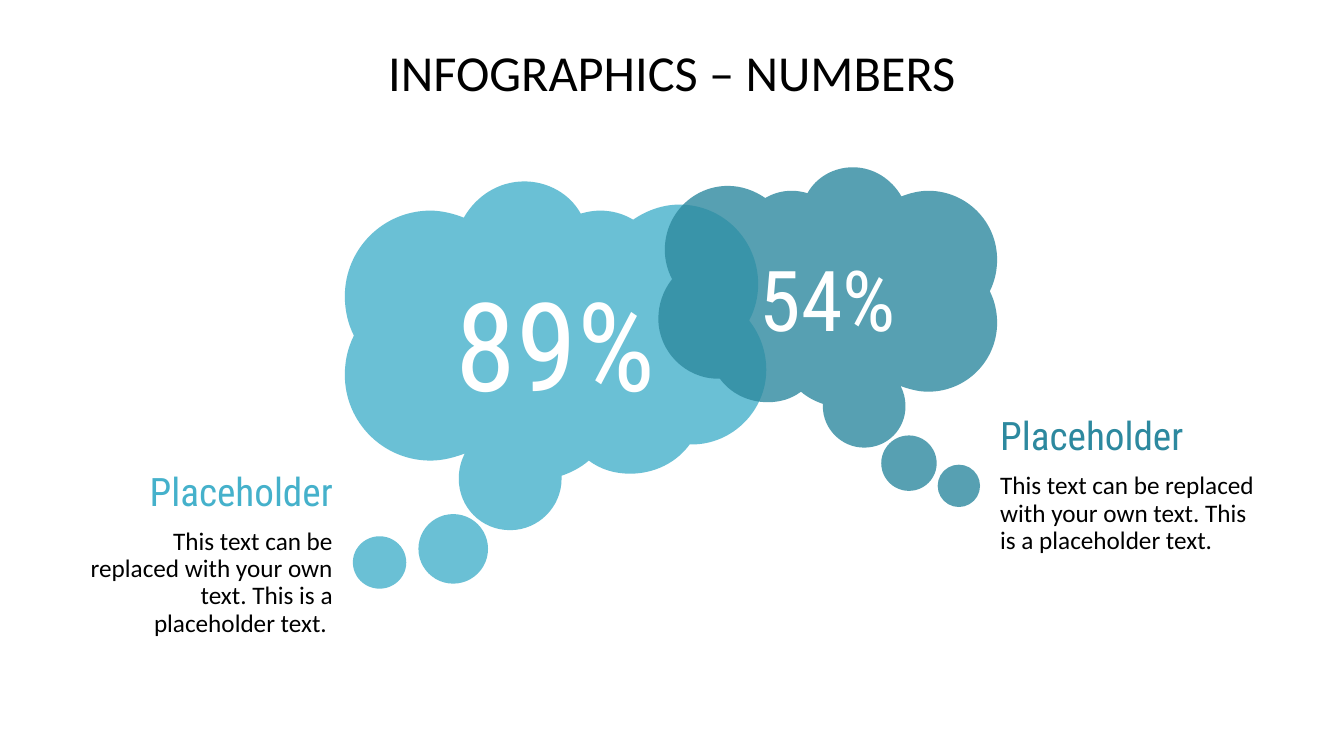
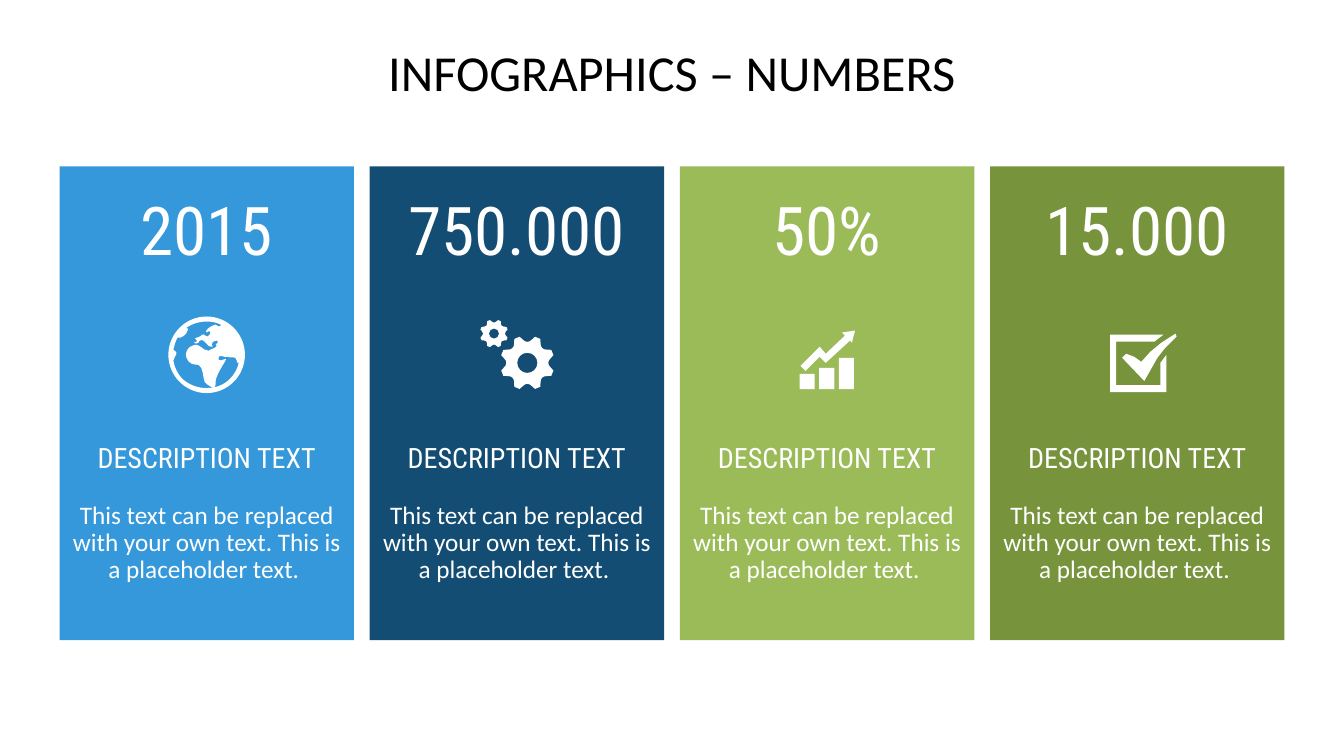
import dataclasses
import math

import lxml.etree
import pptx
import pptx.dml.color
import pptx.enum.shapes
import pptx.enum.text
import pptx.oxml.ns
import pptx.shapes.autoshape
import pptx.slide
import pptx.text.text
import pptx.util

Inches = pptx.util.Inches
RGBColor = pptx.dml.color.RGBColor
Shape = pptx.shapes.autoshape.Shape
MSO_SHAPE = pptx.enum.shapes.MSO_SHAPE
ALIGN = pptx.enum.text.PP_ALIGN
ANCHOR = pptx.enum.text.MSO_ANCHOR
qn = pptx.oxml.ns.qn
Point = tuple[float, float]
Contour = list[Point]

BLACK = RGBColor(0x00, 0x00, 0x00)
WHITE = RGBColor(0xFF, 0xFF, 0xFF)
AQUA = RGBColor(0x45, 0xB1, 0xCB)
TEAL = RGBColor(0x2D, 0x89, 0x9F)
BLUE = RGBColor(0x34, 0x98, 0xDB)
NAVY = RGBColor(0x14, 0x4D, 0x73)
LIME = RGBColor(0x9B, 0xBB, 0x59)
OLIVE = RGBColor(0x77, 0x93, 0x3C)

BODY_FONT = "Calibri"
ACCENT_FONT = "Roboto Condensed"
TITLE = "INFOGRAPHICS – NUMBERS"
BODY_TEXT = "This text can be replaced with your own text. This is a placeholder text. "
MARGIN, CONTENT_W = 0.59, 12.15

# Curves list a start point, then two control points and an end point per piece.
CLOUD_LEFT, CLOUD_TOP = 3.42, 1.8
CLOUD_CURVE = [
    (5.06, 5.26), (5.34, 5.26), (5.57, 5.03), (5.57, 4.75), (5.57, 4.74), (5.57, 4.73),
    (5.57, 4.72), (5.66, 4.69), (5.76, 4.64), (5.84, 4.57), (5.96, 4.66), (6.1, 4.7),
    (6.25, 4.7), (6.49, 4.7), (6.71, 4.59), (6.84, 4.41), (6.85, 4.41), (6.86, 4.41),
    (6.86, 4.41), (7.27, 4.41), (7.6, 4.07), (7.6, 3.67), (7.6, 3.49), (7.54, 3.32),
    (7.43, 3.18), (7.49, 3.07), (7.52, 2.94), (7.52, 2.82), (7.52, 2.38), (7.17, 2.03),
    (6.74, 2.03), (6.57, 2.03), (6.41, 2.09), (6.28, 2.18), (6.18, 2.12), (6.07, 2.09),
    (5.95, 2.09), (5.89, 2.09), (5.83, 2.1), (5.76, 2.12), (5.65, 1.92), (5.43, 1.8),
    (5.2, 1.8), (4.94, 1.8), (4.72, 1.95), (4.6, 2.16), (4.5, 2.12), (4.38, 2.09),
    (4.27, 2.09), (3.8, 2.09), (3.42, 2.47), (3.42, 2.94), (3.42, 3.08), (3.45, 3.21),
    (3.51, 3.33), (3.45, 3.45), (3.42, 3.58), (3.42, 3.72), (3.42, 4.19), (3.8, 4.57),
    (4.27, 4.57), (4.39, 4.57), (4.5, 4.54), (4.61, 4.5), (4.57, 4.58), (4.55, 4.66),
    (4.55, 4.75), (4.55, 5.03), (4.77, 5.26), (5.06, 5.26),
]
SEA_CURVE = [
    (2.28, 3.76), (2.33, 3.71), (2.36, 3.65), (2.37, 3.59), (2.37, 3.6), (2.35, 3.61),
    (2.35, 3.58), (2.34, 3.52), (2.29, 3.56), (2.26, 3.54), (2.23, 3.56), (2.16, 3.49),
    (2.17, 3.57), (2.19, 3.6), (2.27, 3.52), (2.23, 3.59), (2.2, 3.64), (2.13, 3.75),
    (2.14, 3.8), (2.14, 3.89), (2.06, 3.82), (2.03, 3.79), (2.01, 3.74), (2.02, 3.65),
    (1.97, 3.62), (1.92, 3.62), (1.87, 3.61), (1.85, 3.55), (1.83, 3.51), (1.86, 3.44),
    (1.91, 3.43), (1.98, 3.39), (2, 3.48), (2.07, 3.48), (2.09, 3.46), (2.14, 3.46),
    (2.15, 3.43), (2.11, 3.42), (2.2, 3.39), (2.15, 3.38), (2.11, 3.38), (2.09, 3.41),
    (2.11, 3.44), (2.04, 3.45), (2.04, 3.35), (1.98, 3.38), (1.98, 3.43), (1.88, 3.4),
    (1.95, 3.39), (1.97, 3.38), (1.91, 3.35), (1.95, 3.35), (1.96, 3.35), (2.01, 3.33),
    (2, 3.32), (2.03, 3.3), (2.05, 3.37), (2.08, 3.32), (2.1, 3.28), (2.07, 3.28),
    (2.05, 3.3), (2.03, 3.28), (2.07, 3.25), (2.11, 3.23), (2.12, 3.23), (2.13, 3.22),
    (2.14, 3.22), (2.16, 3.24), (2.19, 3.25), (2.19, 3.22), (2.15, 3.2), (2.1, 3.19),
    (2.05, 3.19), (1.98, 3.19), (1.91, 3.21), (1.85, 3.25), (1.87, 3.26), (1.87, 3.27),
    (1.86, 3.28), (1.85, 3.32), (1.8, 3.36), (1.76, 3.35), (1.74, 3.39), (1.73, 3.43),
    (1.72, 3.47), (1.75, 3.49), (1.76, 3.51), (1.75, 3.51), (1.74, 3.53), (1.73, 3.55),
    (1.72, 3.58), (1.73, 3.64), (1.76, 3.71), (1.81, 3.76), (1.88, 3.82), (1.96, 3.85),
    (2.05, 3.85), (2.14, 3.85), (2.22, 3.82), (2.28, 3.76),
]
TREND_ARROW = [
    (8.13, 3.44), (8.19, 3.51), (8.38, 3.33), (8.35, 3.3), (8.48, 3.28), (8.45, 3.4),
    (8.43, 3.38), (8.19, 3.6), (8.13, 3.54), (7.99, 3.68), (7.94, 3.63),
]
CHECK_BOX = [
    (11.01, 3.89), (11.01, 3.32), (11.54, 3.32), (11.45, 3.39), (11.07, 3.39), (11.07, 3.82),
    (11.51, 3.82), (11.51, 3.6), (11.57, 3.52), (11.57, 3.89),
]
CHECK_MARK = [
    (11.13, 3.55), (11.17, 3.51), (11.25, 3.54), (11.32, 3.59), (11.41, 3.49), (11.52, 3.4),
    (11.66, 3.31), (11.67, 3.34), (11.55, 3.46), (11.48, 3.55), (11.35, 3.78),
]


@dataclasses.dataclass(frozen=True)
class Para:
    text: str
    size: int
    font: str = ACCENT_FONT
    color: RGBColor = WHITE


@dataclasses.dataclass(frozen=True)
class Box:
    left: float
    top: float
    width: float
    height: float

    def emu(self) -> list[pptx.util.Length]:
        return [Inches(v) for v in (self.left, self.top, self.width, self.height)]


@dataclasses.dataclass(frozen=True)
class Cloud:
    label: Para
    color: RGBColor
    outline: Contour
    dots: tuple[Box, Box]
    caption_box: Box
    caption: str
    align: ALIGN


@dataclasses.dataclass(frozen=True)
class Card:
    number: str
    color: RGBColor


CARDS = [Card("2015", BLUE), Card("750.000", NAVY), Card("50%", LIME), Card("15.000", OLIVE)]


def polar(cx: float, cy: float, radius: float, degrees: float) -> Point:
    angle = math.radians(degrees)
    return cx + radius * math.cos(angle), cy + radius * math.sin(angle)


def circle_curve(cx: float, cy: float, radius: float) -> Contour:
    k = 0.55
    unit = [(1, 0), (1, k), (k, 1), (0, 1), (-k, 1), (-1, k), (-1, 0),
            (-1, -k), (-k, -1), (0, -1), (k, -1), (1, -k), (1, 0)]
    return [(cx + radius * x, cy + radius * y) for x, y in unit]


def gear_curves(cx: float, cy: float, radius: float, hole: float) -> list[Contour]:
    """Eight-toothed wheel and its round hole."""
    # Angle and share of the radius: tooth top, falling side, valley, rising side.
    tooth = ((-6, 1), (6, 1), (6, 1), (6, 1), (12, 0.86), (12, 0.86), (12, 0.86),
             (17, 0.75), (28, 0.75), (33, 0.86), (33, 0.86), (39, 1), (39, 1))
    rim = [polar(cx, cy, radius, 22.5 + tooth[0][0])]
    for i in range(8):
        rim += [polar(cx, cy, radius * share, 22.5 + 45 * i + a) for a, share in tooth[1:]]
    return [rim, circle_curve(cx, cy, hole)]


def paint(sp: Shape, color: RGBColor, opacity: int = 100) -> None:
    sp.shadow.inherit = False
    sp.line.fill.background()
    sp.fill.solid()
    sp.fill.fore_color.rgb = color
    if opacity < 100:
        srgb = sp.fill._xPr.find(".//" + qn("a:srgbClr"))
        lxml.etree.SubElement(srgb, qn("a:alpha"), val=str(opacity * 1000))


def bend(sp: Shape) -> None:
    """Join every three line segments into one cubic curve."""
    lines = list(sp.element.iter(qn("a:lnTo")))
    for i in range(0, len(lines), 3):
        curve = pptx.oxml.xmlchemy.OxmlElement("a:cubicBezTo")
        lines[i].addprevious(curve)
        for line in lines[i:i + 3]:
            curve.append(line[0])
            line.getparent().remove(line)


def add_outline(s: pptx.slide.Slide, contours: list[Contour], color: RGBColor,
                opacity: int = 100, curved: bool = False) -> Shape:
    builder = None
    for contour in contours:
        points = [(Inches(x), Inches(y)) for x, y in contour]
        if builder is None:
            builder = s.shapes.build_freeform(*points[0])
        else:
            builder.move_to(*points[0])
        builder.add_line_segments(points[1:], close=True)
    sp = builder.convert_to_shape()
    if curved:
        bend(sp)
    paint(sp, color, opacity)
    return sp


def add_preset(s: pptx.slide.Slide, kind: MSO_SHAPE, box: Box, color: RGBColor,
               opacity: int = 100) -> Shape:
    sp = s.shapes.add_shape(kind, *box.emu())
    paint(sp, color, opacity)
    return sp


def write(tf: pptx.text.text.TextFrame, paras: list[Para], align: ALIGN = ALIGN.CENTER,
          anchor: ANCHOR = ANCHOR.MIDDLE, insets: tuple[float, ...] = (0, 0, 0, 0),
          spacing: float = 0.9, before: int = 0, after: int = 10) -> None:
    """Fill a text frame; insets run left, top, right, bottom."""
    tf.word_wrap = True
    tf.auto_size = pptx.enum.text.MSO_AUTO_SIZE.NONE
    tf.vertical_anchor = anchor
    tf.margin_left, tf.margin_top, tf.margin_right, tf.margin_bottom = map(Inches, insets)
    for i, para in enumerate(paras):
        p = tf.add_paragraph() if i else tf.paragraphs[0]
        p.alignment = align
        p.line_spacing = spacing
        p.space_before = pptx.util.Pt(before if i else 0)
        p.space_after = pptx.util.Pt(after)
        for n, line in enumerate(para.text.split("\n")):
            if n:
                p.add_line_break()
            r = p.add_run()
            r.text = line
            r.font.size = pptx.util.Pt(para.size)
            r.font.name = para.font
            r.font.color.rgb = para.color


def add_titled_slide(prs: pptx.presentation.Presentation) -> pptx.slide.Slide:
    s = prs.slides.add_slide(prs.slide_layouts[5])
    title = s.shapes.title
    title.left, title.top, title.width, title.height = Box(MARGIN, 0.48, CONTENT_W, 1.18).emu()
    write(title.text_frame, [Para(TITLE, 36, BODY_FONT, BLACK)], anchor=ANCHOR.TOP, after=0)
    return s


def add_cloud(s: pptx.slide.Slide, cloud: Cloud) -> None:
    for dot in cloud.dots:
        add_preset(s, MSO_SHAPE.OVAL, dot, cloud.color, 80)
    sp = add_outline(s, [cloud.outline], cloud.color, 80, curved=True)
    write(sp.text_frame, [cloud.label], spacing=0.8)
    caption = s.shapes.add_textbox(*cloud.caption_box.emu())
    paras = [Para("Placeholder", 28, color=cloud.color), Para(cloud.caption, 18, BODY_FONT, BLACK)]
    write(caption.text_frame, paras, cloud.align, insets=(0.2, 0, 0.2, 0))


def build_clouds(prs: pptx.presentation.Presentation) -> None:
    s = add_titled_slide(prs)
    ratio = 3.36 / 4.18
    mirrored = [(9.89 - ratio * (x - CLOUD_LEFT), 1.66 + ratio * (y - CLOUD_TOP))
                for x, y in CLOUD_CURVE]
    add_cloud(s, Cloud(Para("89%", 88), AQUA, CLOUD_CURVE,
                       (Box(4.15, 5.1, 0.69, 0.69), Box(3.5, 5.32, 0.53, 0.52)),
                       Box(0.61, 4.59, 2.89, 1.83), BODY_TEXT, ALIGN.RIGHT))
    add_cloud(s, Cloud(Para("54%", 60), TEAL, mirrored,
                       (Box(8.74, 4.32, 0.55, 0.55), Box(9.3, 4.61, 0.42, 0.42)),
                       Box(9.72, 4.13, 3.02, 1.38),
                       "This text can be replaced \nwith your own text. This is a placeholder text.",
                       ALIGN.LEFT))


def build_cards(prs: pptx.presentation.Presentation) -> None:
    s = add_titled_slide(prs)
    width = 2.92
    pitch = (CONTENT_W - width) / (len(CARDS) - 1)
    for i, card in enumerate(CARDS):
        left = MARGIN + i * pitch
        sp = add_preset(s, MSO_SHAPE.RECTANGLE, Box(left, 1.65, width, 4.7), card.color)
        write(sp.text_frame, [Para("DESCRIPTION TEXT", 20), Para(BODY_TEXT, 18, BODY_FONT)],
              anchor=ANCHOR.TOP, insets=(0.1, 2.76, 0.1, 0.39), before=10)
        number = s.shapes.add_textbox(*Box(left, 1.66, width, 1.31).emu())
        write(number.text_frame, [Para(card.number, 48)])

    globe = [circle_curve(2.05, 3.52, 0.38), SEA_CURVE]
    for icon in (globe, gear_curves(5.23, 3.6, 0.27, 0.1), gear_curves(4.9, 3.31, 0.14, 0.05)):
        add_outline(s, icon, WHITE, curved=True)
    for icon_part in (TREND_ARROW, CHECK_BOX, CHECK_MARK):
        add_outline(s, [icon_part], WHITE)
    for i, height in enumerate((0.15, 0.21, 0.31)):
        bar = Box(7.93 + i * 0.195, 3.86 - height, 0.15, height)
        add_preset(s, MSO_SHAPE.RECTANGLE, bar, WHITE)


def main() -> None:
    prs = pptx.Presentation()
    prs.slide_width, prs.slide_height = Inches(13.33), Inches(7.5)
    build_clouds(prs)
    build_cards(prs)
    prs.save("out.pptx")


if __name__ == "__main__":
    main()
